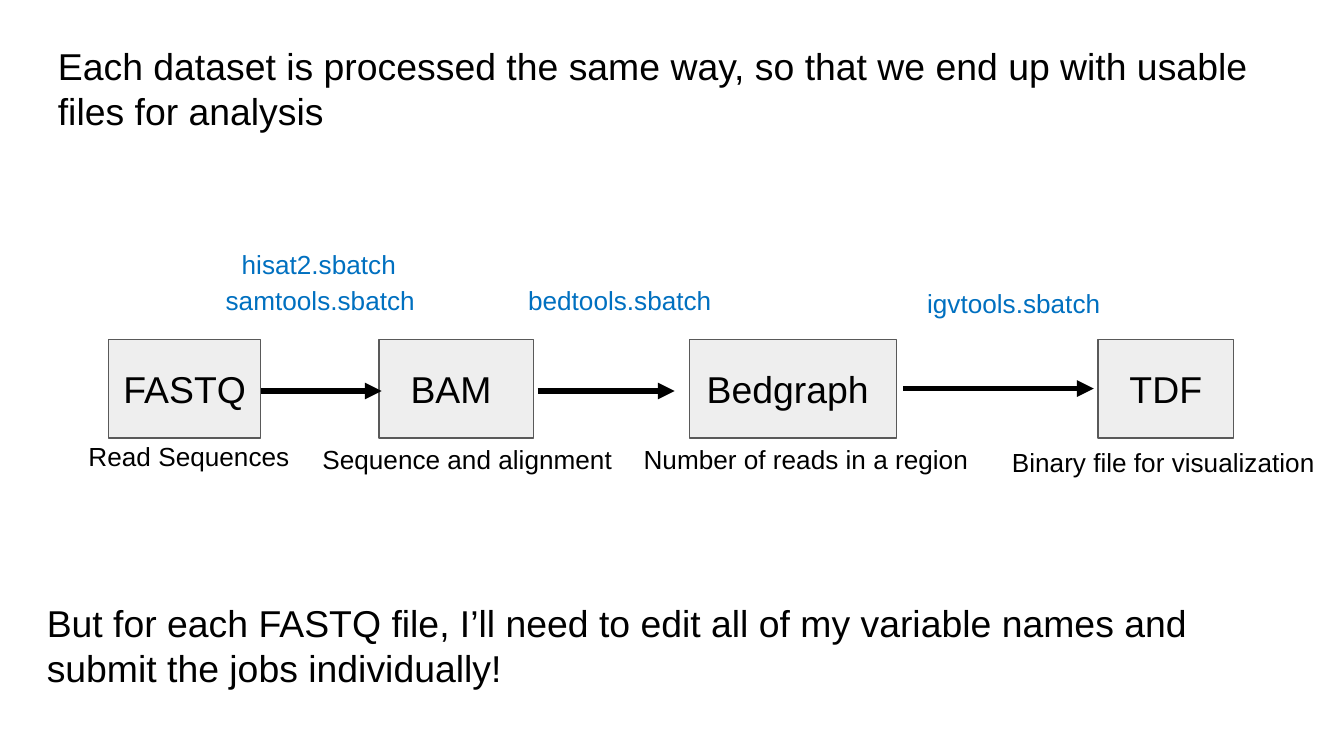
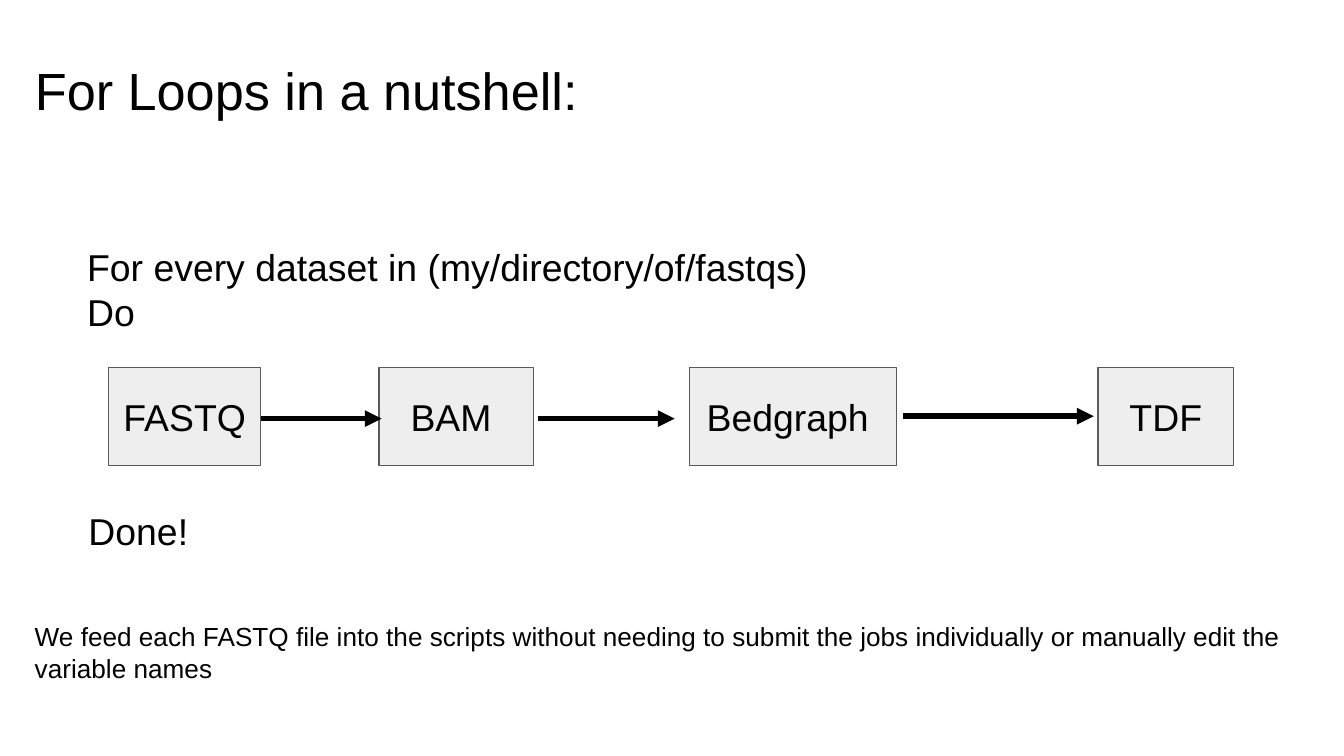
from lxml import etree
from pptx import Presentation
from pptx.dml.color import RGBColor
from pptx.enum import shapes, text
from pptx.oxml import ns
from pptx.util import Pt

COLORS = {"ink": "000000", "script": "0070C0", "box": "EEEEEE", "edge": "595959"}
FONT = "Arial"
TITLE_ONLY = 5
INSET = 7.2

# File formats in pipeline order: label, left, width
STAGES = [
    ("FASTQ", 58.3, 81.4),
    ("BAM ", 203, 82.8),
    ("Bedgraph ", 369.4, 110.9),
    ("TDF", 588.2, 72.7),
]
STAGE_HEIGHT = 52.6
# Conversions between them: start, end, drop below the top of the boxes
STEPS = [(139.7, 204.5, 27.5), (288, 361.4, 27.5), (483.8, 586, 26.2)]

# Text, left, top, width
SCRIPTS = [
    ("hisat2.sbatch", 122.4, 129.6, 98),
    ("samtools.sbatch", 113.8, 149, 116.6),
    ("bedtools.sbatch", 275.8, 149, 113),
    ("igvtools.sbatch", 489.6, 150.5, 108),
]
MEANINGS = [
    ("Read Sequences", 40.3, 229, 164.2),
    ("Sequence and alignment", 165.6, 230.4, 246.2),
    ("Number of reads in a region", 337.7, 230.4, 209.5),
    ("Binary file for visualization", 535, 231.8, 195.8),
]


def rgb(name):
    return RGBColor.from_string(COLORS[name])


def write(shape, content, *, size=20, color="ink", align=text.PP_ALIGN.LEFT,
          anchor=text.MSO_ANCHOR.TOP, wrap=True, pad=3.6):
    """Fill a shape with text, one paragraph a line."""
    frame = shape.text_frame
    frame.auto_size = text.MSO_AUTO_SIZE.NONE
    frame.word_wrap = wrap
    frame.vertical_anchor = anchor
    frame.margin_left = frame.margin_right = Pt(INSET)
    frame.margin_top = frame.margin_bottom = Pt(pad)
    frame.text = content
    for paragraph in frame.paragraphs:
        paragraph.alignment = align
        for run in paragraph.runs:
            run.font.name = FONT
            run.font.size = Pt(size)
            run.font.color.rgb = rgb(color)


def add_text(slide, content, left, top, width, height, **style):
    box = slide.shapes.add_textbox(Pt(left), Pt(top), Pt(width), Pt(height))
    write(box, content, **style)


def add_titled_slide(deck, content, left, top, width, height, **style):
    slide = deck.slides.add_slide(deck.slide_layouts[TITLE_ONLY])
    title = slide.shapes.title
    title.left, title.top = Pt(left), Pt(top)
    title.width, title.height = Pt(width), Pt(height)
    write(title, content, **style)
    return slide


def add_stage(slide, label, left, top, width):
    stage = slide.shapes.add_shape(shapes.MSO_SHAPE.RECTANGLE, Pt(left), Pt(top),
                                   Pt(width), Pt(STAGE_HEIGHT))
    stage.shadow.inherit = False
    stage.fill.solid()
    stage.fill.fore_color.rgb = rgb("box")
    stage.line.color.rgb = rgb("edge")
    stage.line.width = Pt(0.75)
    write(stage, label, align=text.PP_ALIGN.CENTER,
          anchor=text.MSO_ANCHOR.MIDDLE, pad=INSET)


def add_arrow(slide, start, end, y):
    arrow = slide.shapes.add_connector(shapes.MSO_CONNECTOR.STRAIGHT,
                                       Pt(start), Pt(y), Pt(end), Pt(y))
    arrow.line.color.rgb = rgb("ink")
    arrow.line.width = Pt(3)
    etree.SubElement(arrow.line._get_or_add_ln(), ns.qn("a:tailEnd"), type="triangle")
    etree.SubElement(arrow._element.spPr, ns.qn("a:effectLst"))


def add_pipeline(slide, top):
    for label, left, width in STAGES:
        add_stage(slide, label, left, top, width)
    for start, end, drop in STEPS:
        add_arrow(slide, start, end, top + drop)


def add_processing_slide(deck):
    slide = add_titled_slide(
        deck, "Each dataset is processed the same way, so that we end up with "
        "usable files for analysis", 23.8, 19.4, 673.2, 55.4)
    add_pipeline(slide, 182)
    for name, left, top, width in SCRIPTS:
        add_text(slide, name, left, top, width, 24.5,
                 size=14, color="script", wrap=False)
    for meaning, left, top, width in MEANINGS:
        add_text(slide, meaning, left, top, width, 31.7, size=14, pad=INSET)
    add_text(slide, "But for each FASTQ file, I’ll need to edit all of my variable "
             "names and submit the jobs individually!", 18, 318.2, 686.9, 55.4)


def add_loop_slide(deck):
    slide = add_titled_slide(deck, "For Loops in a nutshell:", 11.5, 27.4, 308.9, 41,
                             size=28, wrap=False)
    add_pipeline(slide, 196.8)
    add_text(slide, "For every dataset in (my/directory/of/fastqs)\nDo",
             39.6, 127.4, 409, 55.4, wrap=False)
    add_text(slide, "Done!", 40.3, 268.6, 68.4, 31.7, wrap=False)
    add_text(slide, "We feed each FASTQ file into the scripts without needing to submit "
             "the jobs individually or manually edit the variable names",
             11.5, 329, 683.3, 41, size=14)


def main():
    deck = Presentation()
    deck.slide_width, deck.slide_height = Pt(720), Pt(405)
    add_processing_slide(deck)
    add_loop_slide(deck)
    deck.save("out.pptx")


if __name__ == "__main__":
    main()
